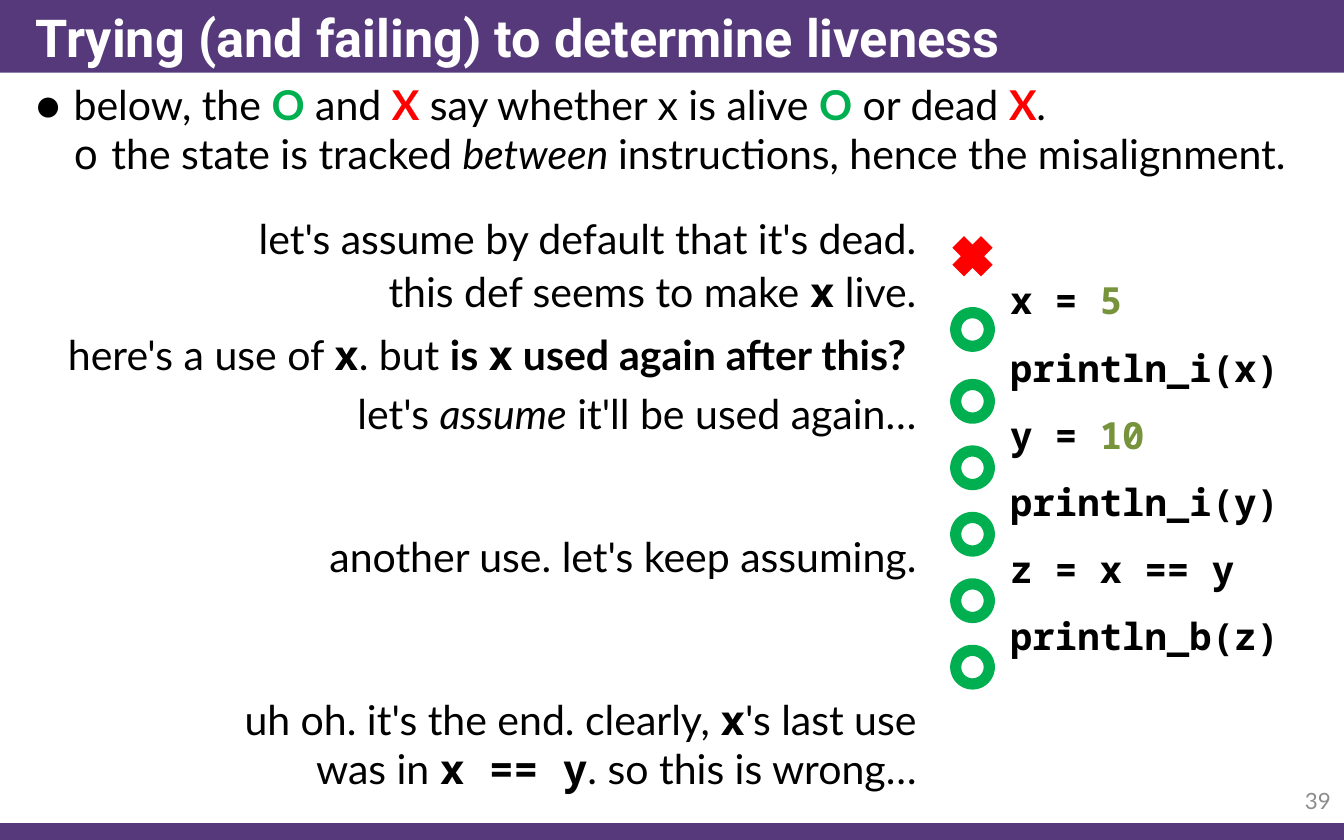
"""Build the slide on trying, and failing, to determine liveness."""
from lxml.etree import SubElement
from pptx import Presentation
from pptx.dml.color import RGBColor
from pptx.enum.shapes import MSO_SHAPE
from pptx.enum.text import MSO_ANCHOR, MSO_AUTO_SIZE, PP_ALIGN
from pptx.oxml.ns import qn
from pptx.util import Pt

COLORS = {"purple": "56397B", "white": "FFFFFF", "black": "000000", "gray": "8C8C8C",
          "live": "00B050", "dead": "FF0000", "number": "77933C"}
PROSE = {"name": "Lato", "size": Pt(22), "bold": False, "italic": False, "color": "black"}
BOLD = {**PROSE, "bold": True}
ITALIC = {**PROSE, "italic": True}
LIVE = {**BOLD, "color": "live"}
DEAD = {**BOLD, "color": "dead"}
VARIABLE = {**BOLD, "name": "Noto Sans Mono"}
CODE = {**VARIABLE, "size": Pt(20)}
NUMBER = {**CODE, "color": "number"}
TITLE = {**BOLD, "name": "Roboto", "size": Pt(28), "color": "white"}
PAGE_NUMBER = {**PROSE, "size": Pt(12), "color": "gray"}


def write(para, spans, **layout):
    """Add formatted spans to a paragraph."""
    for key, value in {"space_before": Pt(0), **layout}.items():
        setattr(para, key, value)
    for text, style in spans:
        span = para.add_run()
        span.text = text
        for key, value in style.items():
            if key == "color":
                span.font.color.rgb = RGBColor.from_string(COLORS[value])
            else:
                setattr(span.font, key, value)


def draw(kind, left, top, width, height, color):
    """Add a plain filled shape."""
    shape = page.shapes.add_shape(kind, Pt(left), Pt(top), Pt(width), Pt(height))
    shape.shadow.inherit = False
    shape.fill.solid()
    shape.fill.fore_color.rgb = RGBColor.from_string(COLORS[color])
    shape.line.fill.background()
    return shape


deck = Presentation()
deck.slide_width, deck.slide_height = Pt(720), Pt(450)
page = deck.slides.add_slide(deck.slide_layouts[1])
title, body = page.placeholders

for top, height in [(441, 9), (0, 39)]:
    bar = draw(MSO_SHAPE.RECTANGLE, 0, top, 720, height, "purple")
    page.shapes._spTree.insert(2, bar._element)

for box, top, height, anchor in [(title, 0, 39, MSO_ANCHOR.MIDDLE),
                                 (body, 39, 67.5, MSO_ANCHOR.TOP)]:
    box.left, box.top, box.width, box.height = Pt(12), Pt(top), Pt(708), Pt(height)
    box.text_frame.auto_size = MSO_AUTO_SIZE.NONE
    box.text_frame.vertical_anchor = anchor

write(title.text_frame.paragraphs[0],
      [("Trying (and failing) to determine liveness", TITLE)], alignment=PP_ALIGN.LEFT)

points = [
    ("●", "Lato", [("below, the ", PROSE), ("O", LIVE), (" and ", PROSE), ("X", DEAD),
                   (" say whether x is alive ", PROSE), ("O", LIVE), (" or dead ", PROSE),
                   ("X", DEAD), (".", PROSE)]),
    ("o", "Noto Sans Mono", [("the state is tracked ", PROSE), ("between ", ITALIC),
                             ("instructions, hence the misalignment.", PROSE)]),
]
for level, (bullet, font, spans) in enumerate(points):
    frame = body.text_frame
    para = frame.add_paragraph() if level else frame.paragraphs[0]
    properties = para._p.get_or_add_pPr()
    properties.set("marL", str(Pt(20.25 * (level + 1))))
    properties.set("indent", str(-Pt(20.25)))
    SubElement(properties, qn("a:buFont")).set("typeface", font)
    SubElement(properties, qn("a:buChar")).set("char", bullet)
    write(para, spans, level=level)

remarks = [
    (123, 111, 375, 34, [("let's assume by default that it's dead.", PROSE)]),
    (123, 139, 375, 34, [("this def seems to make ", PROSE), ("x", VARIABLE),
                         (" live.", PROSE)]),
    (15, 173, 483, 34, [("here's a use of ", PROSE), ("x", VARIABLE), (". but ", PROSE),
                        ("is ", BOLD), ("x", VARIABLE), (" used again after this? ", BOLD)]),
    (123, 204.5, 375, 34, [("let's ", PROSE), ("assume", ITALIC),
                           (" it'll be used again…", PROSE)]),
    (123, 281, 375, 34, [("another use. let's keep assuming.", PROSE)]),
    (114, 368.5, 384, 60.5, [("uh oh. it's the end. clearly, ", PROSE), ("x", VARIABLE),
                             ("'s last use was in ", PROSE), ("x == y", VARIABLE),
                             (". so this is wrong…", PROSE)]),
    (666, 417, 54, 24, [("39", PAGE_NUMBER)]),
]
for left, top, width, height, spans in remarks:
    box = page.shapes.add_textbox(Pt(left), Pt(top), Pt(width), Pt(height))
    box.text_frame.word_wrap = True
    write(box.text_frame.paragraphs[0], spans, alignment=PP_ALIGN.RIGHT)
box.text_frame.vertical_anchor = MSO_ANCHOR.MIDDLE

code = [
    [("x = ", CODE), ("5", NUMBER)],
    [("println_i(x)", CODE)],
    [("y = ", CODE), ("10", NUMBER)],
    [("println_i(y)", CODE)],
    [("z = x == y", CODE)],
    [("println_b(z)", CODE)],
]
listing = page.shapes.add_textbox(Pt(534), Pt(133.2), Pt(162), Pt(222))
listing.text_frame.word_wrap = True
for row, spans in enumerate(code):
    frame = listing.text_frame
    para = frame.add_paragraph() if row else frame.paragraphs[0]
    write(para, spans, line_spacing=1.5)

cross = draw(MSO_SHAPE.MATH_MULTIPLY, 506.25, 122.5, 29.5, 29.5, "dead")
cross.adjustments[0] = 0.3
for top in [164.5] + [203 + 35.6 * step for step in range(5)]:
    draw(MSO_SHAPE.DONUT, 509, top, 24, 24, "live")

deck.save("out.pptx")
